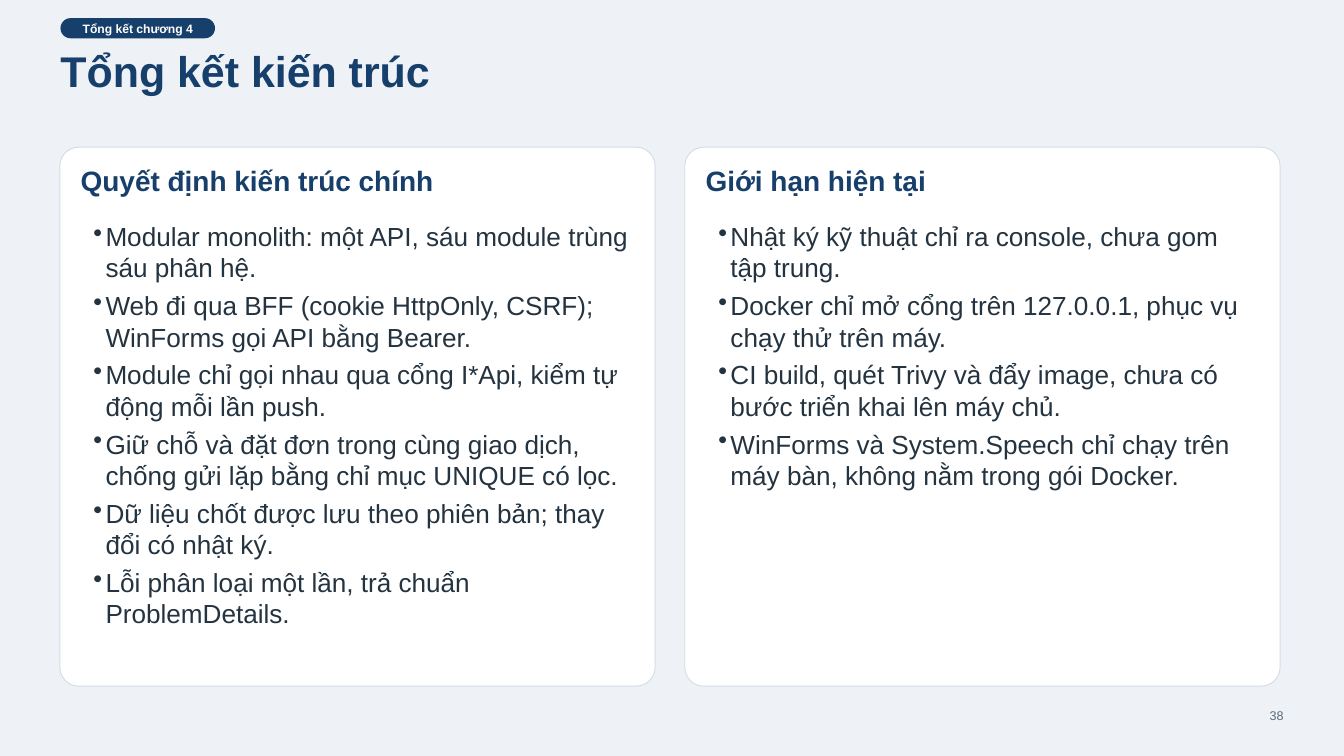
from dataclasses import dataclass

from lxml import etree
from pptx import Presentation
from pptx.dml.color import RGBColor
from pptx.enum import shapes, text
from pptx.oxml import ns
from pptx.util import Inches, Pt


@dataclass(frozen=True)
class Theme:
    font: str = "Arial"
    page: RGBColor = RGBColor.from_string("EEF2F7")
    card: RGBColor = RGBColor.from_string("FFFFFF")
    border: RGBColor = RGBColor.from_string("D3DCE6")
    navy: RGBColor = RGBColor.from_string("173F6B")
    ink: RGBColor = RGBColor.from_string("243340")
    muted: RGBColor = RGBColor.from_string("5D6D7B")
    title: float = 46
    heading: float = 30
    body: float = 28
    tag: float = 13
    number: float = 13.5


theme = Theme()

CARDS = [
    ("Quyết định kiến trúc chính", [
        "Modular monolith: một API, sáu module trùng sáu phân hệ.",
        "Web đi qua BFF (cookie HttpOnly, CSRF); WinForms gọi API bằng Bearer.",
        "Module chỉ gọi nhau qua cổng I*Api, kiểm tự động mỗi lần push.",
        "Giữ chỗ và đặt đơn trong cùng giao dịch, chống gửi lặp bằng chỉ mục UNIQUE có lọc.",
        "Dữ liệu chốt được lưu theo phiên bản; thay đổi có nhật ký.",
        "Lỗi phân loại một lần, trả chuẩn ProblemDetails.",
    ]),
    ("Giới hạn hiện tại", [
        "Nhật ký kỹ thuật chỉ ra console, chưa gom tập trung.",
        "Docker chỉ mở cổng trên 127.0.0.1, phục vụ chạy thử trên máy.",
        "CI build, quét Trivy và đẩy image, chưa có bước triển khai lên máy chủ.",
        "WinForms và System.Speech chỉ chạy trên máy bàn, không nằm trong gói Docker.",
    ]),
]
CARD_LEFT, CARD_TOP, CARD_W, CARD_H = 0.89, 2.19, 8.86, 8.02
CARD_STEP = 9.3
CARD_RADIUS = 0.28
PAD = 0.31
TEXT_W = 8.25
BULLET_TOP, BULLET_H, BULLET_STEP = 3.28, 0.95, 1.03

prs = Presentation()
prs.slide_width, prs.slide_height = Inches(20), Inches(11.25)
s = prs.slides.add_slide(prs.slide_layouts[6])
s.background.fill.solid()
s.background.fill.fore_color.rgb = theme.page


def add_rounded(x, y, w, h, radius, fill):
    sp = s.shapes.add_shape(shapes.MSO_SHAPE.ROUNDED_RECTANGLE,
                            Inches(x), Inches(y), Inches(w), Inches(h))
    sp.adjustments[0] = radius / min(w, h)
    sp.shadow.inherit = False
    sp.fill.solid()
    sp.fill.fore_color.rgb = fill
    sp.line.fill.background()
    return sp


def write(sp, words, size, color, spacing, bold=False, inset=0):
    """Set one line-spaced paragraph in a shape and return it."""
    tf = sp.text_frame
    tf.word_wrap = True
    tf.margin_left = tf.margin_right = Inches(inset)
    tf.margin_top = tf.margin_bottom = Inches(inset)
    p = tf.paragraphs[0]
    p.line_spacing = Pt(spacing)
    r = p.add_run()
    r.text = words
    r.font.name, r.font.size, r.font.bold = theme.font, Pt(size), bold
    r.font.color.rgb = color
    return p


# Header
title = s.shapes.add_textbox(Inches(0.9), Inches(0.67), Inches(18.15), Inches(1.08))
write(title, "Tổng kết kiến trúc", theme.title, theme.navy, 55.2, bold=True)

tag = add_rounded(0.9, 0.27, 2.3, 0.3, 0.15, theme.navy)
p = write(tag, "Tổng kết chương 4", theme.tag, theme.card, 15.6, bold=True, inset=0.06)
p.alignment = text.PP_ALIGN.CENTER
tag.text_frame.vertical_anchor = text.MSO_ANCHOR.MIDDLE

# Cards
for column, (heading, points) in enumerate(CARDS):
    left = CARD_LEFT + column * CARD_STEP
    card = add_rounded(left, CARD_TOP, CARD_W, CARD_H, CARD_RADIUS, theme.card)
    card.line.color.rgb = theme.border
    card.line.width = Pt(1)

    text_left = Inches(left + PAD)
    box = s.shapes.add_textbox(text_left, Inches(2.43), Inches(TEXT_W), Inches(0.62))
    write(box, heading, theme.heading, theme.navy, 36, bold=True)

    for row, point in enumerate(points):
        box = s.shapes.add_textbox(text_left, Inches(BULLET_TOP + row * BULLET_STEP),
                                   Inches(TEXT_W), Inches(BULLET_H))
        p = write(box, point, theme.body, theme.ink, 33.6)
        p.level = 1
        pPr = p._p.get_or_add_pPr()
        pPr.set("marL", str(Inches(0.37)))
        pPr.set("indent", str(Inches(-0.18)))
        etree.SubElement(pPr, ns.qn("a:buChar")).set("char", "•")

# Page number
number = s.shapes.add_textbox(Inches(18.4), Inches(10.53), Inches(0.7), Inches(0.37))
p = write(number, "38", theme.number, theme.muted, 16.2)
p.alignment = text.PP_ALIGN.RIGHT

prs.save("out.pptx")
